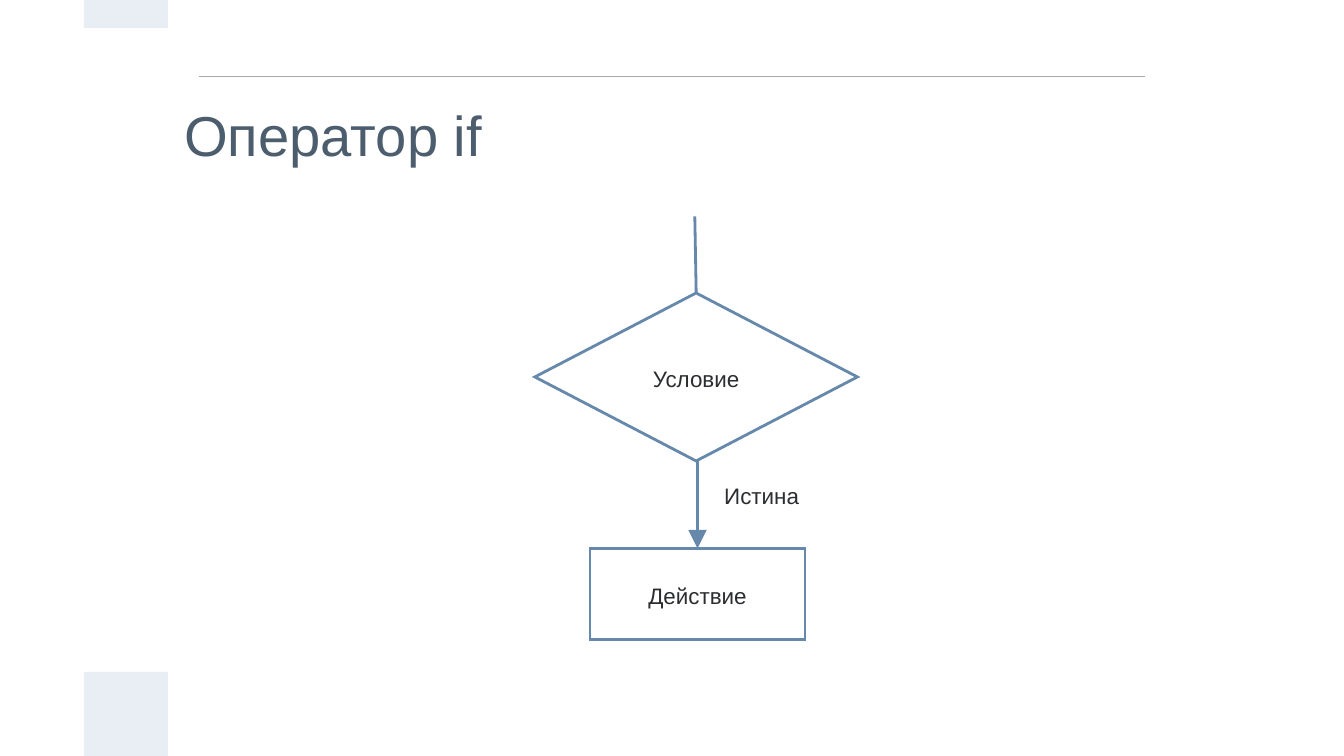
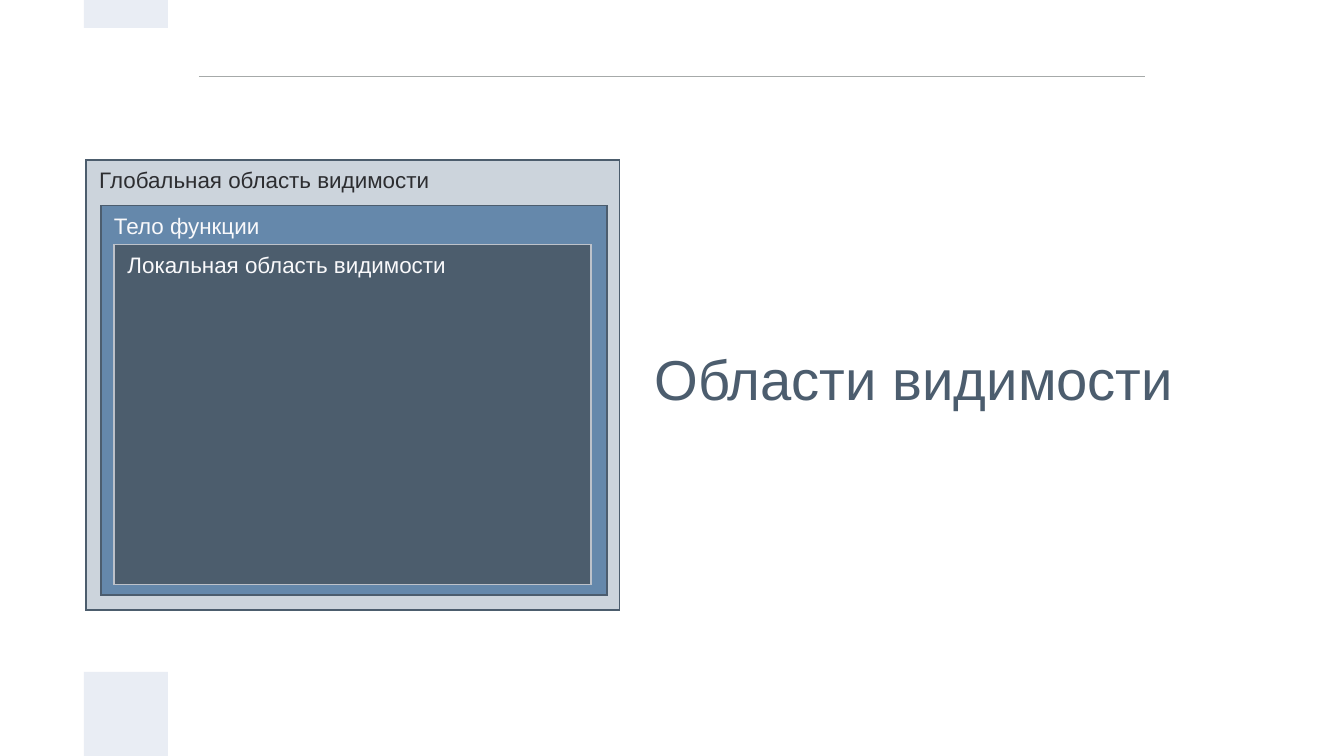
from lxml.etree import SubElement as Sub
from pptx import Presentation
from pptx.dml.color import RGBColor as Rgb
from pptx.enum.shapes import MSO_CONNECTOR as Link, MSO_SHAPE as Kind
from pptx.enum.text import MSO_ANCHOR as Anchor, PP_ALIGN as Align
from pptx.oxml.ns import qn
from pptx.util import Inches, Pt

HUES = {
    "rule": "A6AAA9",
    "band": "E9EDF4",
    "title": "4C5D6E",
    "blue": "6588AB",
    "ink": "2C2D30",
    "light": "F9F9FB",
    "pale": "CCD4DC",
    "slate": "4C5D6D",
    "edge": "BDC2CA",
}
FONT = "Arial"
BAND = 5 / 8


def hue(name):
    return Rgb.from_string(HUES[name])


def write(shape, text, color, size=12, align=Align.LEFT, anchor=Anchor.TOP, space=None):
    frame = shape.text_frame
    frame.text = text
    frame.word_wrap = True
    frame.vertical_anchor = anchor
    para = frame.paragraphs[0]
    para.alignment = align
    para.line_spacing = space
    font = para.runs[0].font
    font.name = FONT
    font.size = Pt(size)
    font.color.rgb = hue(color)


def add_box(slide, place, fill=None, line=None, width=1, kind=Kind.RECTANGLE):
    box = slide.shapes.add_shape(kind, *map(Inches, place))
    box.shadow.inherit = False
    if fill:
        box.fill.solid()
        box.fill.fore_color.rgb = hue(fill)
    else:
        box.fill.background()
    if line:
        box.line.color.rgb = hue(line)
        box.line.width = Pt(width)
        Sub(box.line._get_or_add_ln(), qn("a:miter"), lim="800000")
    else:
        box.line.fill.background()
    return box


def add_line(slide, start, end, color, width, arrow=False):
    line = slide.shapes.add_connector(Link.STRAIGHT, *map(Inches, start + end))
    line.line.color.rgb = hue(color)
    line.line.width = Pt(width)
    if arrow:
        Sub(line.line._get_or_add_ln(), qn("a:tailEnd"), type="triangle", w="lg", len="lg")
    Sub(line._element.spPr, qn("a:effectLst"))
    return line


def add_text(slide, place, text, color, **style):
    box = slide.shapes.add_textbox(*map(Inches, place))
    write(box, text, color, **style)
    return box


def add_title(slide, place, text):
    box = add_text(slide, place, text, "title", size=30.1, anchor=Anchor.MIDDLE)
    frame = box.text_frame
    frame.margin_left = frame.margin_right = Inches(0.13)
    frame.margin_top = frame.margin_bottom = Inches(0.13)


def add_step(slide, place, text, kind):
    """Add an outlined flowchart block with centred text."""
    box = add_box(slide, place, line="blue", width=1.5, kind=kind)
    write(box, text, "ink", align=Align.CENTER, anchor=Anchor.MIDDLE, space=1.15)
    return box


def new_slide(deck):
    """Add a slide with the shared rule and side bands."""
    slide = deck.slides.add_slide(deck.slide_layouts[6])
    add_line(slide, (1.48, 0.57), (8.52, 0.57), "rule", 0.75)
    for top, height in ((5, BAND), (0, BAND / 3)):
        add_box(slide, (BAND, top, BAND, height), "band")
    return slide


def draw_flow(deck):
    slide = new_slide(deck)
    add_title(slide, (1.24, 0.63, 9.99, 0.73), "Оператор if")
    entry = add_line(slide, (5.17, 1.61), (5.18, 2.18), "blue", 1.5)
    test = add_step(slide, (3.98, 2.18, 2.4, 1.25), "Условие", Kind.FLOWCHART_DECISION)
    add_text(slide, (5.29, 3.51, 0.79, 0.34), "Истина", "ink", space=1.15)
    action = add_step(slide, (4.39, 4.08, 1.6, 0.68), "Действие", Kind.RECTANGLE)
    branch = add_line(slide, (5.19, 3.43), (5.19, 4.08), "blue", 1.5, arrow=True)
    entry.end_connect(test, 0)
    branch.end_connect(action, 0)


def draw_scopes(deck):
    slide = new_slide(deck)
    add_title(slide, (4.74, 2.45, 4.19, 0.73), "Области видимости")
    scopes = (
        ((0.64, 1.19, 3.97, 3.35), "pale", "slate", "Глобальная область видимости", "ink"),
        ((0.75, 1.53, 3.77, 2.9), "blue", "title", "Тело функции", "light"),
        ((0.85, 1.82, 3.55, 2.53), "slate", "edge", "Локальная область видимости", "light"),
    )
    for place, fill, line, text, color in scopes:
        write(add_box(slide, place, fill, line), text, color)


def main():
    deck = Presentation()
    deck.slide_width = Inches(10)
    deck.slide_height = Inches(5 + BAND)
    draw_flow(deck)
    draw_scopes(deck)
    deck.save("out.pptx")


if __name__ == "__main__":
    main()
